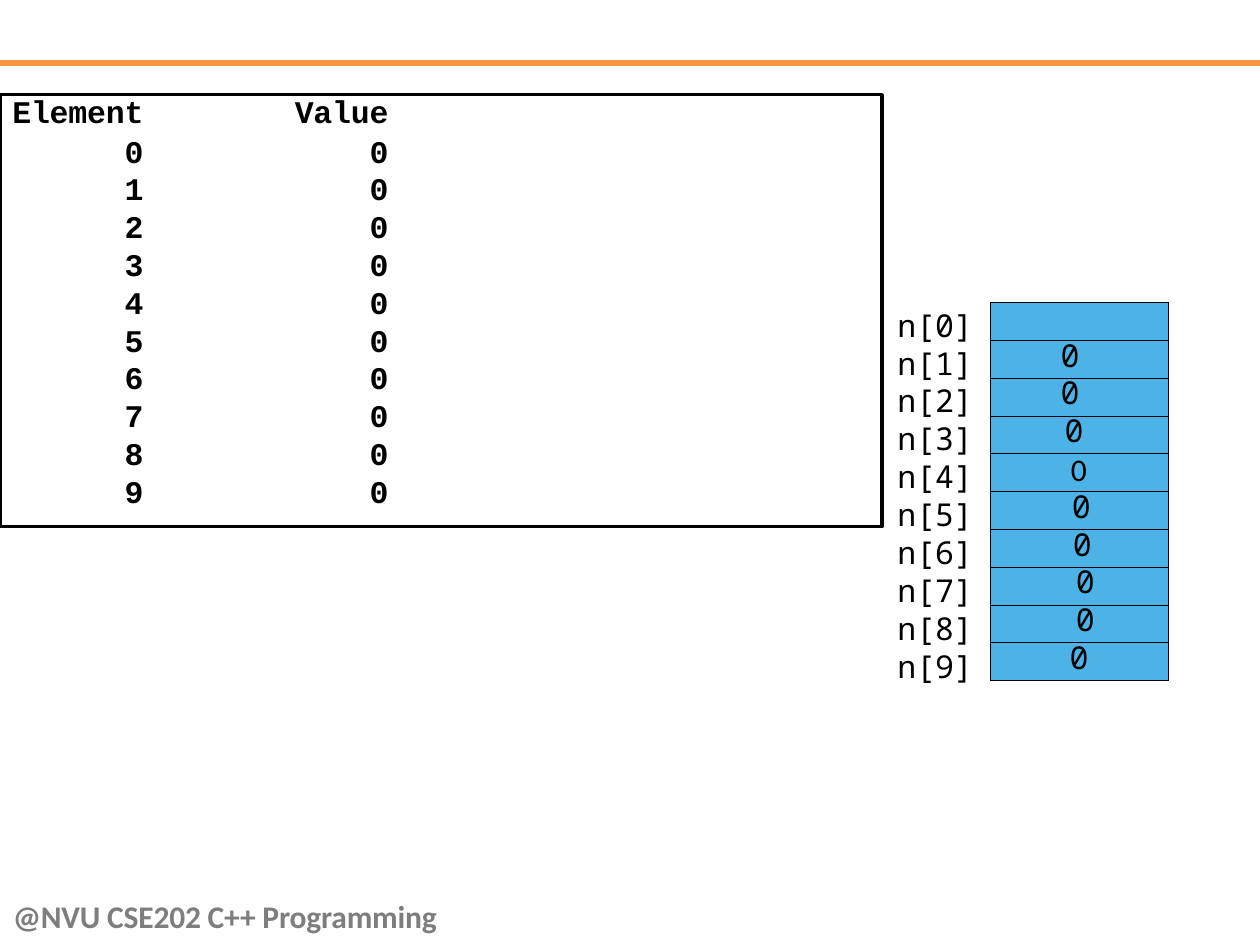
from lxml import etree
from pptx import Presentation
from pptx import util as u
from pptx.dml import color
from pptx.enum import shapes, text
from pptx.oxml import ns

COLORS = {"ink": "000000", "rule": "F79546", "memory": "4DB3E6", "footer": "7E7E7E"}
NO_STYLE = "{2D5ABB26-0587-4C30-8999-92F81FD0307C}"
LEFT, CENTER, RIGHT = text.PP_ALIGN.LEFT, text.PP_ALIGN.CENTER, text.PP_ALIGN.RIGHT
MONO = "Noto Sans Mono"
ROW = 0.762


def write(frame, words, font=MONO, ink="ink", bold=False, align=LEFT, line=None,
          track=0, margins=(0, 0, 0, 0)):
    """Fill a cell or text frame, one paragraph per line of words."""
    (frame.margin_left, frame.margin_top,
     frame.margin_right, frame.margin_bottom) = [u.Cm(m) for m in margins]
    body = getattr(frame, "text_frame", frame)
    body.text = words
    for paragraph in body.paragraphs:
        paragraph.alignment = align
        if line:
            paragraph.line_spacing = u.Pt(line)
        if not paragraph.runs:
            # Small end mark, so that an empty cell keeps its row height
            etree.SubElement(paragraph._p, ns.qn("a:endParaRPr"), sz="1000")
        for run in paragraph.runs:
            run.font.name, run.font.size, run.font.bold = font, u.Pt(18), bold
            run.font.color.rgb = color.RGBColor.from_string(COLORS[ink])
            if track:
                run.font._element.set("spc", str(track))


def set_borders(cell, **widths):
    """Draw cell borders; sides are L, R, T and B, widths in points."""
    props = cell._tc.get_or_add_tcPr()
    for position, (side, width) in enumerate(widths.items()):
        border = etree.Element(ns.qn(f"a:ln{side}"), w=str(u.Pt(width)))
        fill = etree.SubElement(border, ns.qn("a:solidFill"))
        etree.SubElement(fill, ns.qn("a:srgbClr"), val=COLORS["ink"])
        props.insert(position, border)


deck = Presentation()
deck.slide_width, deck.slide_height = u.Cm(25.4), u.Cm(19.05)
slide = deck.slides.add_slide(deck.slide_layouts[6])

# Both tables: program output and memory cells
output = slide.shapes.add_table(11, 2, u.Cm(-0.03), u.Cm(1.91), u.Cm(7.94), u.Cm(8.71)).table
memory = slide.shapes.add_table(10, 1, u.Cm(19.96), u.Cm(6.1), u.Cm(3.58), u.Cm(7.62)).table
for grid in (output, memory):
    grid.first_row = grid.horz_banding = False
    grid._tbl.tblPr.find(ns.qn("a:tableStyleId")).text = NO_STYLE
    for row in grid.rows:
        row.height = u.Cm(ROW)

# Program output: element numbers and values
output.columns[0].width, output.columns[1].width = u.Cm(4.42), u.Cm(3.52)
output.rows[0].height, output.rows[10].height = u.Cm(0.89), u.Cm(0.97)
listing = [("Element", "Value")] + [(str(n), "0") for n in range(10)]
for r, pair in enumerate(listing):
    for c, (word, right) in enumerate(zip(pair, (1.5, 0.08))):
        cell = output.cell(r, c)
        cell.fill.background()
        write(cell, word, font="Courier New", bold=True, align=RIGHT,
              line=19.2 if r else None, track=0 if r else -10,
              margins=(0, 0 if r else 0.05, right, 0))
    set_borders(output.cell(r, 0), L=2.25)

# Array in memory: (value, alignment, left margin, right margin, font)
array = [
    ("", LEFT, 0, 0, MONO),
    ("0", LEFT, 1.42, 0, MONO),
    ("0", LEFT, 1.42, 0, MONO),
    ("0", LEFT, 1.5, 0, MONO),
    ("0", CENTER, 0, 0, "Calibri"),
    ("0", RIGHT, 0, 1.55, MONO),
    ("0", RIGHT, 0, 1.53, MONO),
    ("0", RIGHT, 0, 1.47, MONO),
    ("0", RIGHT, 0, 1.47, MONO),
    ("0", CENTER, 0, 0, MONO),
]
for r, (value, align, left, right, font) in enumerate(array):
    cell = memory.cell(r, 0)
    cell.fill.solid()
    cell.fill.fore_color.rgb = color.RGBColor.from_string(COLORS["memory"])
    write(cell, value, font=font, align=align, line=18, margins=(left, 0.09, right, 0))
    set_borders(cell, L=0.25, R=0.25, T=0.5, B=0.5)

# Orange rule across the top
rule = slide.shapes.add_connector(shapes.MSO_CONNECTOR.STRAIGHT, 0, u.Cm(1.27),
                                  u.Cm(25.4), u.Cm(1.27))
rule.line.color.rgb = color.RGBColor.from_string(COLORS["rule"])
rule.line.width = u.Pt(3)
etree.SubElement(rule._element.spPr, ns.qn("a:effectLst"))

# Frame around the program output
frame = slide.shapes.add_shape(shapes.MSO_SHAPE.RECTANGLE, 0, u.Cm(1.91), u.Cm(17.78), u.Cm(8.71))
frame.shadow.inherit = False
frame.fill.background()
frame.line.color.rgb = color.RGBColor.from_string(COLORS["ink"])
frame.line.width = u.Pt(2)

# Array labels
labels = slide.shapes.add_textbox(u.Cm(18.06), u.Cm(6.13), u.Cm(1.63), u.Cm(7.72)).text_frame
labels.word_wrap = True
write(labels, "\n".join(f"n[{n}]" for n in range(10)), line=21.65, margins=(0.03, 0.03, 0, 0))

# Footer
footer = slide.shapes.add_textbox(u.Cm(0.23), u.Cm(18.21), u.Cm(9.5), u.Cm(0.71)).text_frame
footer.word_wrap = True
write(footer, "@NVU CSE202 C++ Programming", font="Calibri", ink="footer", bold=True,
      line=18.1, track=-10, margins=(0.03, 0, 0, 0))

deck.save("out.pptx")
